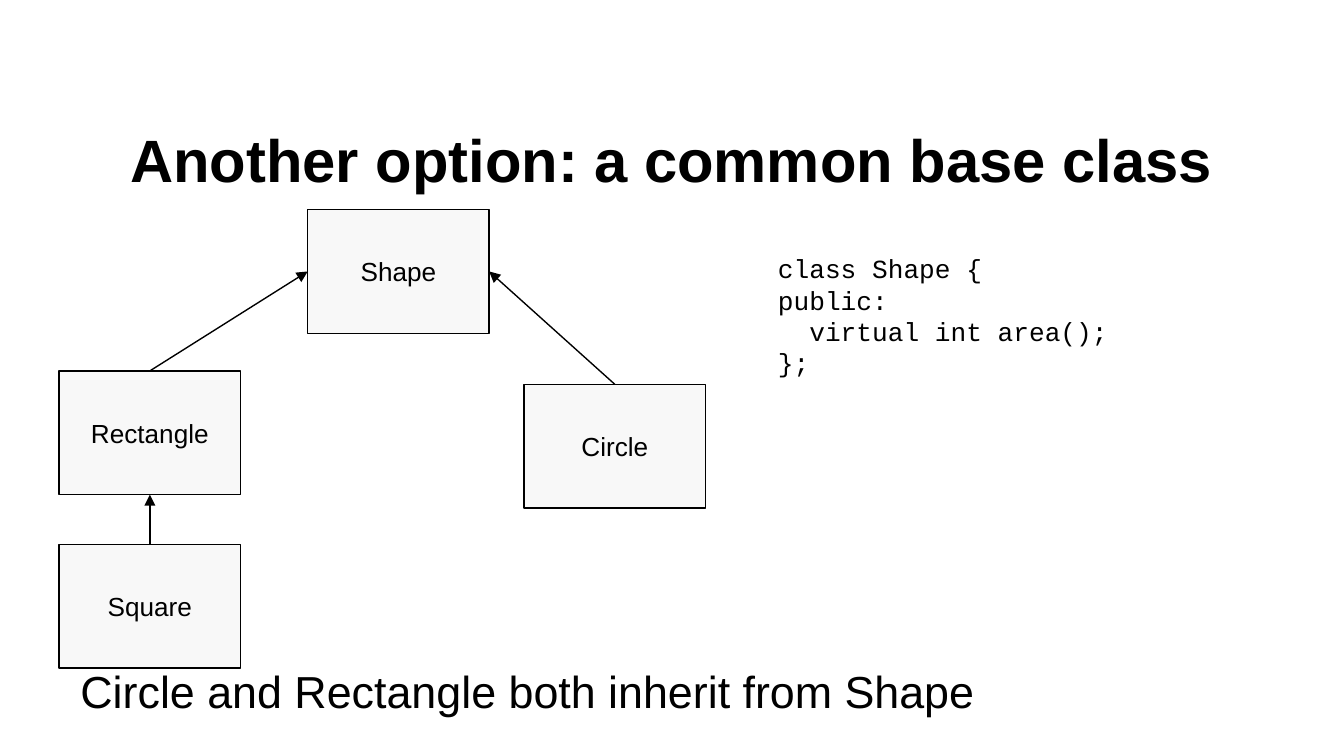
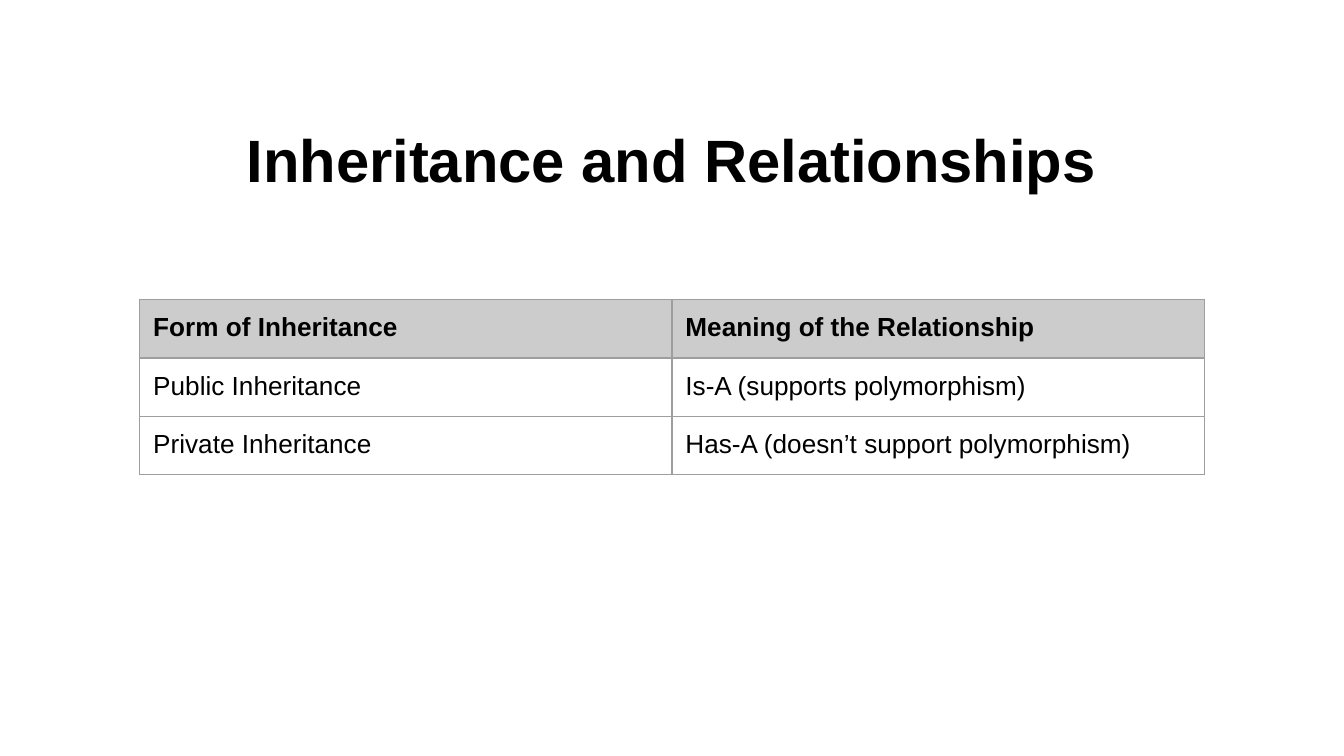
import pptx
import pptx.dml.color
import pptx.enum.shapes
import pptx.enum.text
import pptx.oxml
import pptx.oxml.ns
import pptx.util
from lxml import etree
from pptx.util import Inches

# Shared look
BLACK, BOX_FILL, HEADER_FILL, BORDER = "000000", "F8F8F8", "CCCCCC", "9E9E9E"
SANS, MONO = "Arial", "Courier New"
LINE_WIDTH = pptx.util.Pt(0.75)
MARGIN = Inches(0.1)
BOX_WIDTH, BOX_HEIGHT = 1.35, 0.92
TOP, LEFT, RIGHT, BOTTOM = 0, 1, 3, 2  # connection sites of a rectangle

CENTER = pptx.enum.text.PP_ALIGN.CENTER
MIDDLE = pptx.enum.text.MSO_ANCHOR.MIDDLE


def color(hex_value):
    return pptx.dml.color.RGBColor.from_string(hex_value)


def add_child(parent, tag, **attributes):
    return etree.SubElement(parent, pptx.oxml.ns.qn(tag), **attributes)


def write_text(frame, text, size, font=SANS, bold=False, align=None, space_before=None):
    """Fill a text frame, one paragraph a line."""
    frame.text = text
    for paragraph in frame.paragraphs:
        paragraph.alignment = align
        paragraph.space_before = space_before
        paragraph.font.name = font
        paragraph.font.size = pptx.util.Pt(size)
        paragraph.font.bold = bold
        paragraph.font.color.rgb = color(BLACK)


def set_margins(holder):
    """Give a text frame or a table cell the shared inner margins."""
    holder.margin_left = holder.margin_right = MARGIN
    holder.margin_top = holder.margin_bottom = MARGIN


def add_text(slide, left, top, width, height, text, size, **style):
    shape = slide.shapes.add_textbox(Inches(left), Inches(top), Inches(width), Inches(height))
    shape.text_frame.word_wrap = True
    set_margins(shape.text_frame)
    write_text(shape.text_frame, text, size, **style)
    return shape


def add_titled_slide(presentation, title):
    slide = presentation.slides.add_slide(presentation.slide_layouts[6])
    shape = add_text(slide, 0.5, 0.74, 9, 0.88, title, 32, bold=True, align=CENTER)
    shape.text_frame.vertical_anchor = MIDDLE
    return slide


def add_class_box(slide, name, left, top):
    box = slide.shapes.add_shape(
        pptx.enum.shapes.MSO_SHAPE.RECTANGLE,
        Inches(left), Inches(top), Inches(BOX_WIDTH), Inches(BOX_HEIGHT))
    box.shadow.inherit = False
    box.fill.solid()
    box.fill.fore_color.rgb = color(BOX_FILL)
    box.line.color.rgb = color(BLACK)
    box.line.width = LINE_WIDTH
    set_margins(box.text_frame)
    write_text(box.text_frame, name, 14, align=CENTER)
    box.text_frame.vertical_anchor = MIDDLE
    return box


def add_inheritance_arrow(slide, base, base_site, derived):
    """Join the top of a derived class to its base, with the arrowhead at the base."""
    arrow = slide.shapes.add_connector(pptx.enum.shapes.MSO_CONNECTOR.STRAIGHT, 0, 0, 0, 0)
    arrow.begin_connect(base, base_site)
    arrow.end_connect(derived, TOP)
    arrow.line.color.rgb = color(BLACK)
    arrow.line.width = LINE_WIDTH
    add_child(arrow.line._get_or_add_ln(), "a:headEnd", type="triangle")
    add_child(arrow._element.spPr, "a:effectLst")


def set_borders(cell):
    properties = cell._tc.get_or_add_tcPr()
    for side in ("a:lnL", "a:lnR", "a:lnT", "a:lnB"):
        line = add_child(properties, side, w=str(int(LINE_WIDTH)))
        add_child(add_child(line, "a:solidFill"), "a:srgbClr", val=BORDER)


def add_table(slide, left, top, column_width, row_heights, rows):
    columns = len(rows[0])
    table = slide.shapes.add_table(
        len(rows), columns, Inches(left), Inches(top),
        Inches(column_width * columns), Inches(sum(row_heights))).table
    table.first_row = table.horz_banding = False
    for row_index, (texts, height) in enumerate(zip(rows, row_heights)):
        table.rows[row_index].height = Inches(height)
        is_header = row_index == 0
        for column_index, text in enumerate(texts):
            cell = table.cell(row_index, column_index)
            set_borders(cell)
            if is_header:
                cell.fill.solid()
                cell.fill.fore_color.rgb = color(HEADER_FILL)
            else:
                cell.fill.background()
            set_margins(cell)
            write_text(cell.text_frame, text, 14, bold=is_header)


def build_base_class_slide(presentation):
    slide = add_titled_slide(presentation, "Another option: a common base class")
    add_text(slide, 0.5, 4.84, 9, 0.76, "Circle and Rectangle both inherit from Shape", 24,
             space_before=pptx.util.Pt(4.8))

    # Class diagram
    base = add_class_box(slide, "Shape", 2.29, 1.56)
    rectangle = add_class_box(slide, "Rectangle", 0.44, 2.76)
    circle = add_class_box(slide, "Circle", 3.9, 2.86)
    square = add_class_box(slide, "Square", 0.44, 4.05)
    add_inheritance_arrow(slide, base, RIGHT, circle)
    add_inheritance_arrow(slide, base, LEFT, rectangle)
    add_inheritance_arrow(slide, rectangle, BOTTOM, square)

    # Code of the base class
    code = "class Shape {\npublic:\n  virtual int area();\n};"
    add_text(slide, 5.69, 1.78, 3.71, 0.54, code, 14, font=MONO)


def build_relationships_slide(presentation):
    slide = add_titled_slide(presentation, "Inheritance and Relationships")
    add_table(slide, 1.04, 2.23, 3.96, (0.38, 0.42, 0.42), [
        ("Form of Inheritance", "Meaning of the Relationship"),
        ("Public Inheritance", "Is-A (supports polymorphism)"),
        ("Private Inheritance", "Has-A (doesn’t support polymorphism)"),
    ])


def main():
    presentation = pptx.Presentation()
    # Widescreen, 16:9
    presentation.slide_width = Inches(10)
    presentation.slide_height = presentation.slide_width * 9 // 16
    build_base_class_slide(presentation)
    build_relationships_slide(presentation)
    presentation.save("out.pptx")


if __name__ == "__main__":
    main()
